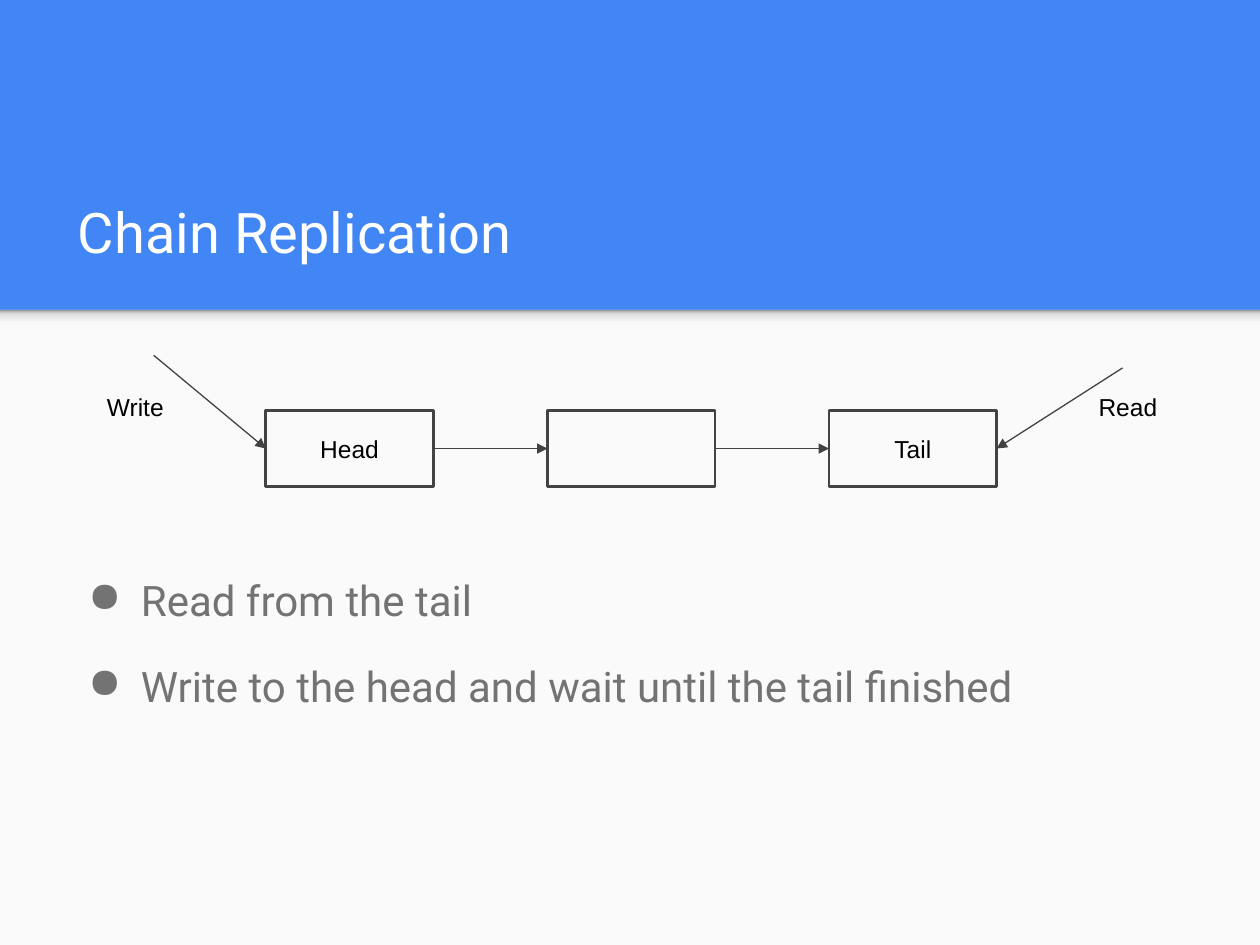
import pptx
import pptx.util
import pptx.dml.color
import pptx.enum.shapes
import pptx.enum.text
import pptx.oxml.ns
from lxml import etree

Inches, Pt = pptx.util.Inches, pptx.util.Pt
qn = pptx.oxml.ns.qn
ANCHOR = pptx.enum.text.MSO_ANCHOR
ALIGN = pptx.enum.text.PP_ALIGN

HEADING = "Chain Replication"
POINTS = ["Read from the tail", "Write to the head and wait until the tail finished"]
NODES = ["Head", "", "Tail"]
REQUESTS = [("Write", 0.75), ("Read", 8.62)]
SHADOW_STOPS = [(0, "F9F9F9"), (36, "F9F9F9"), (80, "DEDEDE"), (100, "999999")]

BAND_BOTTOM = 2.46
NODE_LEFT, NODE_TOP, NODE_WIDTH, NODE_HEIGHT = 2.11, 3.26, 1.33, 0.6
NODE_STEP = 2.235
MIDDLE = NODE_TOP + NODE_HEIGHT / 2


def color(value):
    return pptx.dml.color.RGBColor.from_string(value)


def add_rect(left, top, width, height, fill=None, line=None):
    rect = slide.shapes.add_shape(
        pptx.enum.shapes.MSO_SHAPE.RECTANGLE,
        Inches(left), Inches(top), Inches(width), Inches(height))
    rect.shadow.inherit = False
    if fill:
        rect.fill.solid()
        rect.fill.fore_color.rgb = color(fill)
    else:
        rect.fill.background()
    if line:
        rect.line.color.rgb = color(line)
        rect.line.width = Pt(1.5)
    else:
        rect.line.fill.background()
    return rect


def add_box(left, top, width, height):
    return slide.shapes.add_textbox(Inches(left), Inches(top), Inches(width), Inches(height))


def write(shape, lines, size, font, ink, anchor=ANCHOR.TOP, align=ALIGN.LEFT):
    frame = shape.text_frame
    frame.word_wrap = True
    frame.vertical_anchor = anchor
    frame.margin_left = frame.margin_right = Inches(0.1)
    frame.margin_top = frame.margin_bottom = Inches(0.1)
    frame.text = "\n".join(lines)
    for paragraph in frame.paragraphs:
        paragraph.alignment = align
        for run in paragraph.runs:
            run.font.size = Pt(size)
            run.font.name = font
            run.font.color.rgb = color(ink)
    return frame


def add_bullet(paragraph, ink):
    paragraph.line_spacing = 1.15
    paragraph.space_after = Pt(16)
    props = paragraph._p.get_or_add_pPr()
    props.set("marL", str(Inches(0.5)))
    props.set("indent", str(Inches(-0.42)))
    bullet_color = etree.SubElement(props, qn("a:buClr"))
    etree.SubElement(bullet_color, qn("a:srgbClr"), val=ink)
    etree.SubElement(props, qn("a:buChar"), char="●")


def add_arrow(start, end):
    arrow = slide.shapes.add_connector(
        pptx.enum.shapes.MSO_CONNECTOR.STRAIGHT,
        *[Inches(value) for value in start + end])
    arrow.line.color.rgb = color("424242")
    arrow.line.width = Pt(0.75)
    etree.SubElement(arrow.line._get_or_add_ln(), qn("a:tailEnd"), type="triangle")
    etree.SubElement(arrow._element.spPr, qn("a:effectLst"))


def fill_gradient(shape, stops):
    shape.fill.gradient()
    shape.fill.gradient_angle = 90
    stop_list = shape._element.spPr.find(".//" + qn("a:gsLst"))
    for old in list(stop_list):
        stop_list.remove(old)
    for percent, value in stops:
        stop = etree.SubElement(stop_list, qn("a:gs"), pos=str(percent * 1000))
        etree.SubElement(stop, qn("a:srgbClr"), val=value)


deck = pptx.Presentation()
deck.slide_width, deck.slide_height = Inches(10), Inches(7.5)
slide = deck.slides.add_slide(deck.slide_layouts[6])
slide.background.fill.solid()
slide.background.fill.fore_color.rgb = color("4285F4")

add_rect(0, BAND_BOTTOM, 10, 7.5 - BAND_BOTTOM, fill="FAFAFA")
fill_gradient(add_rect(0, BAND_BOTTOM, 10, 0.16), SHADOW_STOPS)

write(add_box(0.52, 1.08, 8.99, 1.12), [HEADING], 32, "Roboto", "FFFFFF", ANCHOR.BOTTOM)
points = write(add_box(0.52, 4.4, 8.99, 2.35), POINTS, 24, "Roboto", "737373")
for point in points.paragraphs:
    add_bullet(point, "737373")

node_lefts = [NODE_LEFT + i * NODE_STEP for i in range(len(NODES))]
for left, label in zip(node_lefts, NODES):
    node = add_rect(left, NODE_TOP, NODE_WIDTH, NODE_HEIGHT, line="434343")
    if label:
        write(node, [label], 14, "Arial", "000000", ANCHOR.MIDDLE, ALIGN.CENTER)

for left, following in zip(node_lefts, node_lefts[1:]):
    add_arrow((left + NODE_WIDTH, MIDDLE), (following, MIDDLE))
add_arrow((1.22, 2.82), (node_lefts[0], MIDDLE))
add_arrow((8.91, 2.92), (node_lefts[-1] + NODE_WIDTH, MIDDLE))

for label, left in REQUESTS:
    write(add_box(left, 3.01, 0.89, 0.35), [label], 14, "Arial", "000000")

deck.save("out.pptx")
